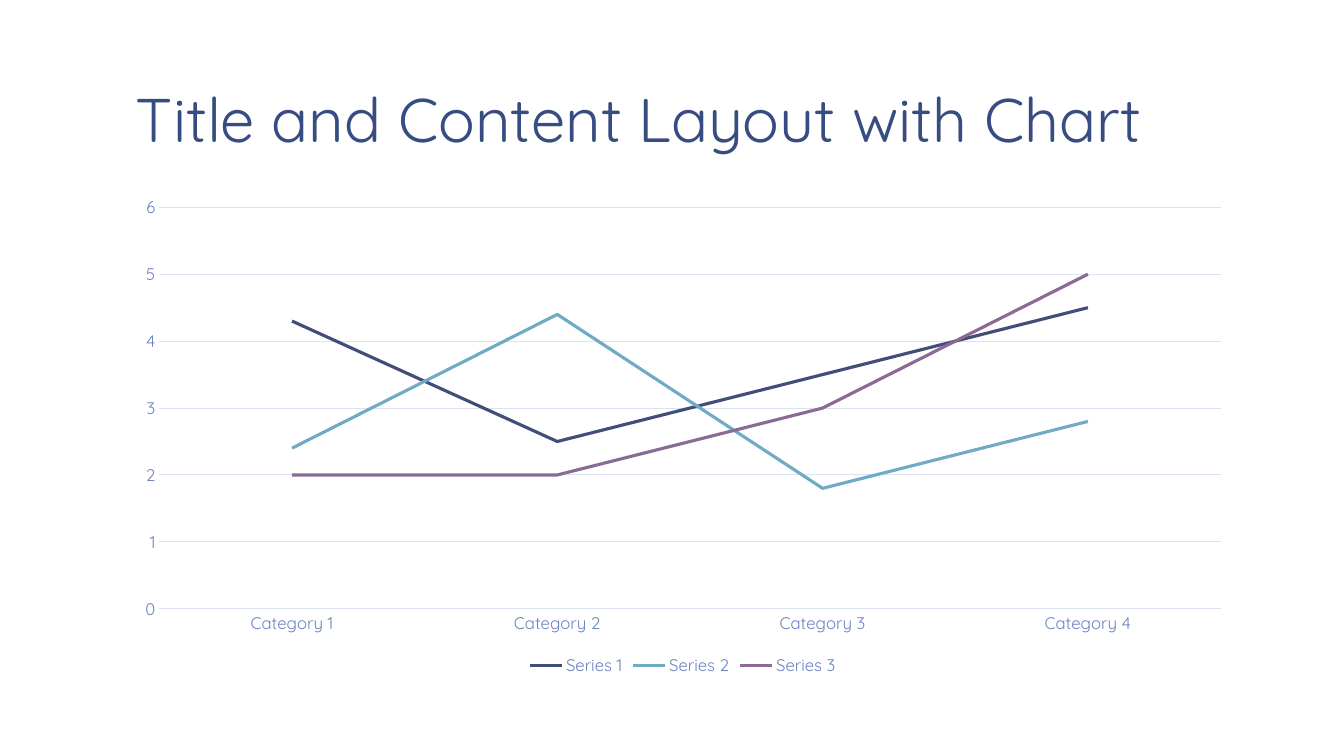
import pptx
import pptx.chart.data
import pptx.dml.color
import pptx.enum.chart
import pptx.enum.text
import pptx.util

EMU_PER_PX = 914400 / 100.8
FONT = "Quicksand"
NAVY = "374C81"
LABEL_BLUE = "6A83C0"
GRID_BLUE = "DDE2F0"
CATEGORIES = ["Category 1", "Category 2", "Category 3", "Category 4"]
SERIES = [
    ("Series 1", (4.3, 2.5, 3.5, 4.5), "414E77"),
    ("Series 2", (2.4, 4.4, 1.8, 2.8), "70AAC4"),
    ("Series 3", (2, 2, 3, 5), "8B6A94"),
]


def px(length):
    return pptx.util.Emu(round(length * EMU_PER_PX))


def color(value):
    return pptx.dml.color.RGBColor.from_string(value)


def style_font(font, size, hex_color):
    font.name = FONT
    font.size = pptx.util.Pt(size)
    font.color.rgb = color(hex_color)


def style_line(line, width, hex_color):
    line.color.rgb = color(hex_color)
    line.width = pptx.util.Pt(width)


def add_text(page, text, *, left, top, width, height, size, hex_color, spacing):
    box = page.shapes.add_textbox(px(left), px(top), px(width), px(height))
    frame = box.text_frame
    frame.word_wrap = True
    frame.vertical_anchor = pptx.enum.text.MSO_ANCHOR.BOTTOM
    frame.margin_left = frame.margin_right = px(13)
    frame.margin_top = frame.margin_bottom = px(7)
    para = frame.paragraphs[0]
    para.line_spacing = spacing
    span = para.add_run()
    span.text = text
    style_font(span.font, size, hex_color)


def style_axis(axis):
    axis.major_tick_mark = pptx.enum.chart.XL_TICK_MARK.NONE
    axis.minor_tick_mark = pptx.enum.chart.XL_TICK_MARK.NONE
    style_font(axis.tick_labels.font, 12, LABEL_BLUE)


def add_line_chart(page, left, top, width, height):
    data = pptx.chart.data.CategoryChartData()
    data.categories = CATEGORIES
    for name, values, _ in SERIES:
        data.add_series(name, values)
    chart = page.shapes.add_chart(
        pptx.enum.chart.XL_CHART_TYPE.LINE,
        px(left), px(top), px(width), px(height), data,
    ).chart
    chart.has_title = False
    style_font(chart.font, 10, NAVY)

    style_axis(chart.category_axis)
    style_line(chart.category_axis.format.line, 0.75, GRID_BLUE)
    value_axis = chart.value_axis
    style_axis(value_axis)
    value_axis.minimum_scale = 0
    value_axis.maximum_scale = 6
    value_axis.major_unit = 1
    value_axis.format.line.fill.background()
    value_axis.has_major_gridlines = True
    style_line(value_axis.major_gridlines.format.line, 0.75, GRID_BLUE)

    chart.has_legend = True
    chart.legend.position = pptx.enum.chart.XL_LEGEND_POSITION.BOTTOM
    chart.legend.include_in_layout = False
    style_font(chart.legend.font, 12, LABEL_BLUE)

    plot = chart.plots[0]
    plot.vary_by_categories = False
    for series, (_, _, hex_color) in zip(plot.series, SERIES):
        series.smooth = False
        style_line(series.format.line, 2.25, hex_color)


def main():
    deck = pptx.Presentation()
    deck.slide_width = px(1344)
    deck.slide_height = px(756)
    page = deck.slides.add_slide(deck.slide_layouts[6])
    page.background.fill.solid()
    page.background.fill.fore_color.rgb = color("FFFFFF")
    add_text(page, "Title and Content Layout with Chart",
             left=123, top=8, width=1120, height=154,
             size=44, hex_color=NAVY, spacing=0.85)
    add_line_chart(page, 123, 187, 1120, 493)
    deck.save("out.pptx")


if __name__ == "__main__":
    main()
